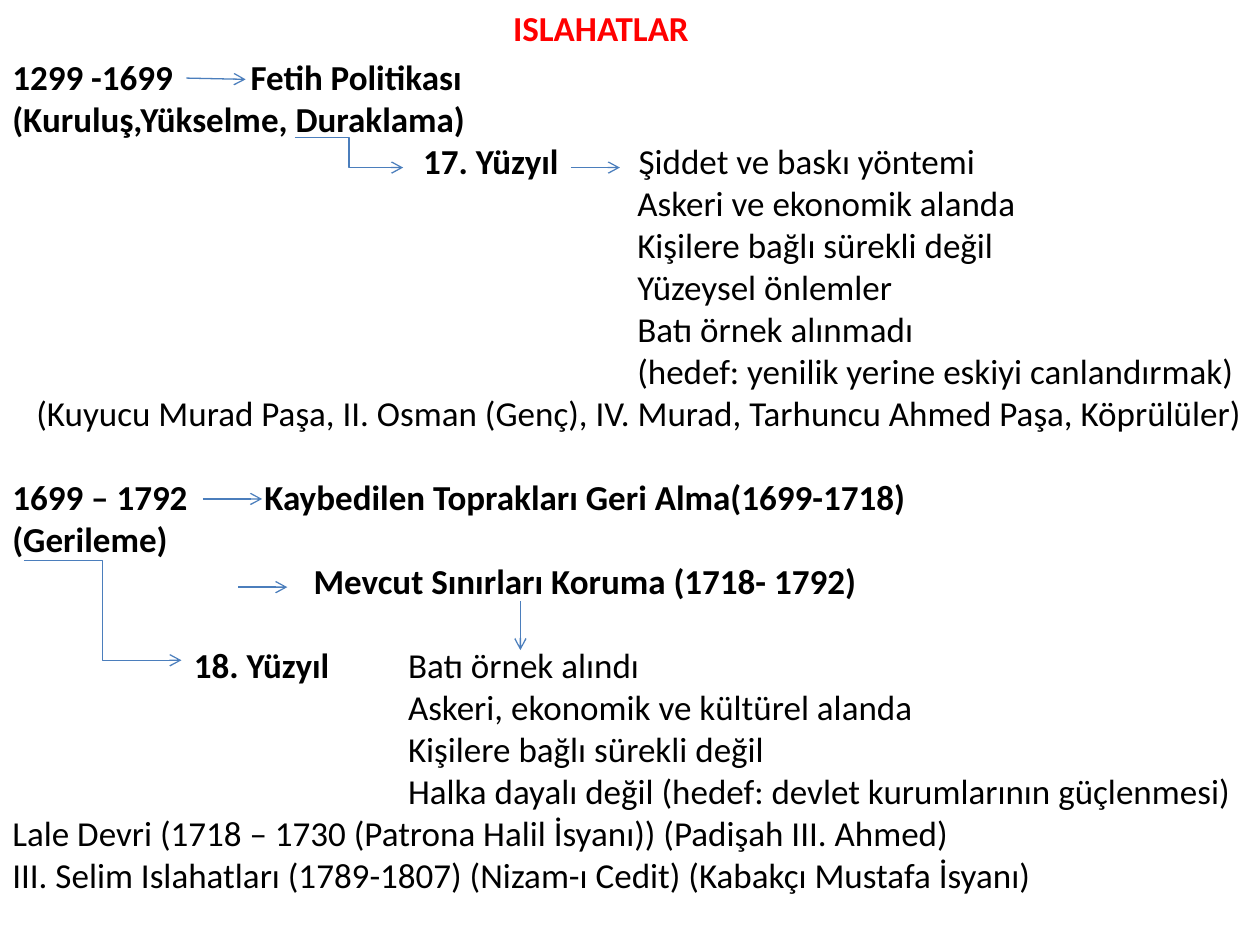
from lxml.etree import SubElement
from pptx import Presentation
from pptx.dml.color import RGBColor
from pptx.enum.shapes import MSO_CONNECTOR
from pptx.enum.text import MSO_AUTO_SIZE, PP_ALIGN
from pptx.oxml.ns import qn
from pptx.util import Inches, Pt

INK = {"title": "FF0000", "text": "000000", "line": "4B7EBC"}
COLS, ROWS = 100, 75
BOLD, PLAIN = True, False

LINES = [
    {"runs": [("1299 -1699\tFetih Politikası", BOLD)], "tabs": [18.9]},
    {"runs": [("(Kuruluş,Yükselme, Duraklama)", BOLD)]},
    {"runs": [("\t17. Yüzyıl\t", BOLD), ("Şiddet ve baskı yöntemi", PLAIN)],
     "tabs": [32.6, 49.7]},
    *({"runs": [(text, PLAIN)], "left": 49.6} for text in (
        "Askeri ve ekonomik alanda",
        "Kişilere bağlı sürekli değil",
        "Yüzeysel önlemler",
        "Batı örnek alınmadı",
        "(hedef: yenilik yerine eskiyi canlandırmak)")),
    {"runs": [("(Kuyucu Murad Paşa, II. Osman (Genç), IV. Murad, "
               "Tarhuncu Ahmed Paşa, Köprülüler)", PLAIN)], "left": 1.9},
    {"runs": [("1699 – 1792\tKaybedilen Toprakları Geri Alma(1699-1718)", BOLD)],
     "tabs": [20], "gap": 24},
    {"runs": [("(Gerileme)", BOLD)]},
    {"runs": [("Mevcut Sınırları Koruma (1718- 1792)", BOLD)], "left": 23.9},
    {"runs": [("\t18. Yüzyıl\t", BOLD), ("Batı örnek alındı", PLAIN)],
     "tabs": [14.4, 31.4], "gap": 24},
    *({"runs": [(text, PLAIN)], "left": 31.4} for text in (
        "Askeri, ekonomik ve kültürel alanda",
        "Kişilere bağlı sürekli değil",
        "Halka dayalı değil (hedef: devlet kurumlarının güçlenmesi)")),
    {"runs": [("Lale Devri (1718 – 1730 (Patrona Halil İsyanı)) "
               "(Padişah III. Ahmed)", PLAIN)]},
    {"runs": [("III. Selim Islahatları (1789-1807) (Nizam-ı Cedit) "
               "(Kabakçı Mustafa İsyanı)", PLAIN)]},
]

ELBOWS = [(23.4, 10.9, 32, 13.3), (1.9, 44.5, 14.4, 52.4)]
ARROWS = [
    (45.3, 13.3, 49.2, 13.3),
    (14.8, 6.2, 19.5, 6.3),
    (16.1, 39.6, 20.8, 39.6),
    (41.3, 47.7, 41.3, 51.6),
    (18.9, 46.6, 22.8, 46.6),
]


class Page:
    """Hold the deck, its slide, its grid and its type style."""

    def __init__(self):
        self.deck = Presentation()
        self.deck.slide_width, self.deck.slide_height = Inches(10), Inches(7.5)
        self.slide = self.deck.slides.add_slide(self.deck.slide_layouts[6])
        self.face = {"name": "Calibri", "size": Pt(20)}

    def col(self, count):
        return round(self.deck.slide_width * count / COLS)

    def row(self, count):
        return round(self.deck.slide_height * count / ROWS)

    def spot(self, a, b, c, d):
        return self.col(a), self.row(b), self.col(c), self.row(d)

    def text(self, place, lines, ink, align=PP_ALIGN.LEFT):
        frame = self.slide.shapes.add_textbox(*self.spot(*place)).text_frame
        frame.word_wrap = True
        frame.auto_size = MSO_AUTO_SIZE.SHAPE_TO_FIT_TEXT
        for index, line in enumerate(lines):
            para = frame.add_paragraph() if index else frame.paragraphs[0]
            self.fill(para, line, ink, align)

    def fill(self, para, line, ink, align):
        para.alignment = align
        para.space_before = Pt(line.get("gap", 0))
        props = para._p.get_or_add_pPr()
        if "left" in line:
            props.set("marL", str(self.col(line["left"])))
        if "tabs" in line:
            stops = SubElement(props, qn("a:tabLst"))
            for stop in line["tabs"]:
                SubElement(stops, qn("a:tab"), pos=str(self.col(stop)), algn="l")
        for text, bold in line["runs"]:
            run = para.add_run()
            run.text = text
            for key, value in {**self.face, "bold": bold}.items():
                setattr(run.font, key, value)
            run.font.color.rgb = RGBColor.from_string(INK[ink])

    def arrow(self, ends, kind=MSO_CONNECTOR.STRAIGHT):
        link = self.slide.shapes.add_connector(kind, *self.spot(*ends))
        link.line.color.rgb = RGBColor.from_string(INK["line"])
        link.line.width = Pt(0.75)
        SubElement(link.line._get_or_add_ln(), qn("a:tailEnd"), type="arrow")
        SubElement(link._element.spPr, qn("a:effectLst"))


def main():
    page = Page()
    page.text((35.2, 0, 25, 4.4), [{"runs": [("ISLAHATLAR", BOLD)]}],
              "title", PP_ALIGN.CENTER)
    page.text((0, 3.9, 100, 68.3), LINES, "text")
    for ends in ELBOWS:
        page.arrow(ends, MSO_CONNECTOR.ELBOW)
    for ends in ARROWS:
        page.arrow(ends)
    page.deck.save("out.pptx")


if __name__ == "__main__":
    main()
